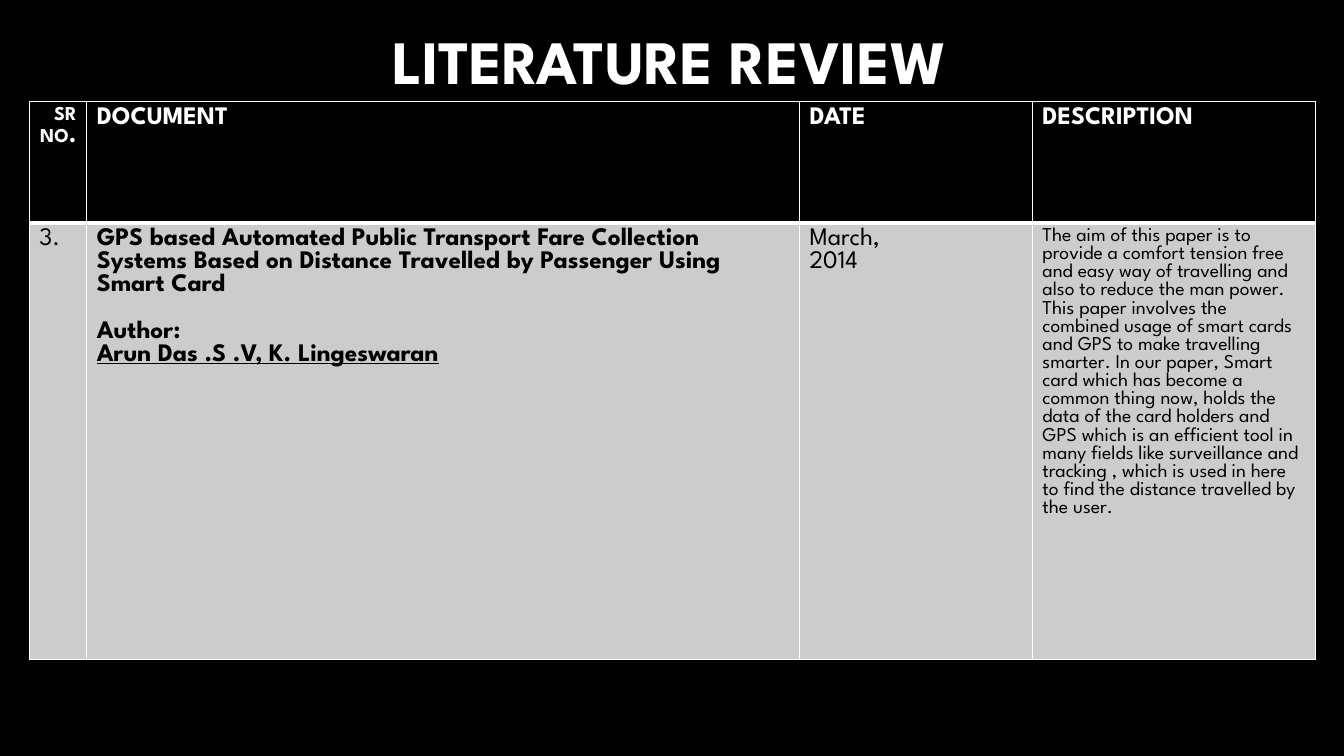
from lxml import etree
from pptx import Presentation
from pptx.dml.color import RGBColor
from pptx.enum.text import MSO_ANCHOR, MSO_AUTO_SIZE, PP_ALIGN
from pptx.oxml.ns import qn
from pptx.util import Inches, Pt

FONT = "League Spartan"
BLACK = RGBColor(0x00, 0x00, 0x00)
WHITE = RGBColor(0xFF, 0xFF, 0xFF)
GREY = RGBColor(0xCC, 0xCC, 0xCC)
LEFT, RIGHT = PP_ALIGN.LEFT, PP_ALIGN.RIGHT
BOTTOM = MSO_ANCHOR.BOTTOM
NO_AUTOFIT = MSO_AUTO_SIZE.NONE

COLUMN_WIDTHS = [0.57, 7.07, 2.31, 2.81]
ROW_HEIGHTS = [1.2, 4.33]
HEADINGS = ["DOCUMENT", "DATE", "DESCRIPTION"]
PAPER = (
    "GPS based Automated Public Transport Fare Collection Systems "
    "Based on Distance Travelled by Passenger Using Smart Card"
)
AUTHORS = "Arun Das .S .V, K. Lingeswaran"
DESCRIPTION = (
    "The aim of this paper is to provide a comfort tension free and easy way "
    "of travelling and also to reduce the man power. This paper involves the "
    "combined usage of smart cards and GPS to make travelling smarter. In our "
    "paper, Smart card which has become a common thing now, holds the data of "
    "the card holders and GPS which is an efficient tool in many fields like "
    "surveillance and tracking , which is used in here to find the distance "
    "travelled by the user."
)


def add_text(p, text, size=18, color=BLACK, bold=False, underline=False,
             align=LEFT, before=0):
    p.alignment = align
    if before:
        p.space_before = Pt(before)
    r = p.add_run()
    r.text = text
    font = r.font
    font.name = FONT
    font.size = Pt(size)
    font.color.rgb = color
    font.bold = bold
    font.underline = underline


def format_cell(cell, fill, bottom_width):
    tc_pr = cell._tc.get_or_add_tcPr()
    widths = {"a:lnL": 1, "a:lnR": 1, "a:lnT": 1, "a:lnB": bottom_width}
    for tag, width in widths.items():
        ln = etree.SubElement(tc_pr, qn(tag), w=str(Pt(width)))
        solid = etree.SubElement(ln, qn("a:solidFill"))
        etree.SubElement(solid, qn("a:srgbClr"), val=str(WHITE))
    cell.fill.solid()
    cell.fill.fore_color.rgb = fill


def add_title(s, x, y, w, h):
    title = s.shapes.title
    title.left, title.top = Inches(x), Inches(y)
    title.width, title.height = Inches(w), Inches(h)
    tf = title.text_frame
    tf.auto_size = NO_AUTOFIT
    tf.vertical_anchor = BOTTOM
    add_text(tf.paragraphs[0], "LITERATURE REVIEW", size=44, color=WHITE, bold=True)


def add_review_table(s, x, y, w, h):
    table = s.shapes.add_table(
        len(ROW_HEIGHTS), len(COLUMN_WIDTHS),
        Inches(x), Inches(y), Inches(w), Inches(h),
    ).table
    for column, width in zip(table.columns, COLUMN_WIDTHS):
        column.width = Inches(width)
    for row, height, fill, bottom in zip(
            table.rows, ROW_HEIGHTS, [BLACK, GREY], [3, 1]):
        row.height = Inches(height)
        for cell in row.cells:
            format_cell(cell, fill, bottom)

    p = table.cell(0, 0).text_frame.paragraphs[0]
    add_text(p, "SR NO", size=14, color=WHITE, bold=True, align=RIGHT)
    add_text(p, ".", color=WHITE, bold=True, align=RIGHT)
    for col, heading in enumerate(HEADINGS, 1):
        p = table.cell(0, col).text_frame.paragraphs[0]
        add_text(p, heading, color=WHITE, bold=True)

    number, document, date, description = [
        cell.text_frame for cell in table.rows[1].cells]
    add_text(number.paragraphs[0], "3.")
    add_text(document.paragraphs[0], PAPER, bold=True)
    add_text(document.add_paragraph(), "Author:", bold=True, before=16.5)
    add_text(document.add_paragraph(), AUTHORS, bold=True, underline=True)
    add_text(date.paragraphs[0], "March,")
    add_text(date.add_paragraph(), "2014")
    add_text(description.paragraphs[0], DESCRIPTION, size=14)


def main():
    prs = Presentation()
    prs.slide_width, prs.slide_height = Inches(13.33), Inches(7.5)
    s = prs.slides.add_slide(prs.slide_layouts[5])
    s.background.fill.solid()
    s.background.fill.fore_color.rgb = BLACK
    add_title(s, 3.79, 0.17, 6.14, 0.84)
    add_review_table(s, 0.29, 1.01, sum(COLUMN_WIDTHS), sum(ROW_HEIGHTS))
    prs.save("out.pptx")


if __name__ == "__main__":
    main()
